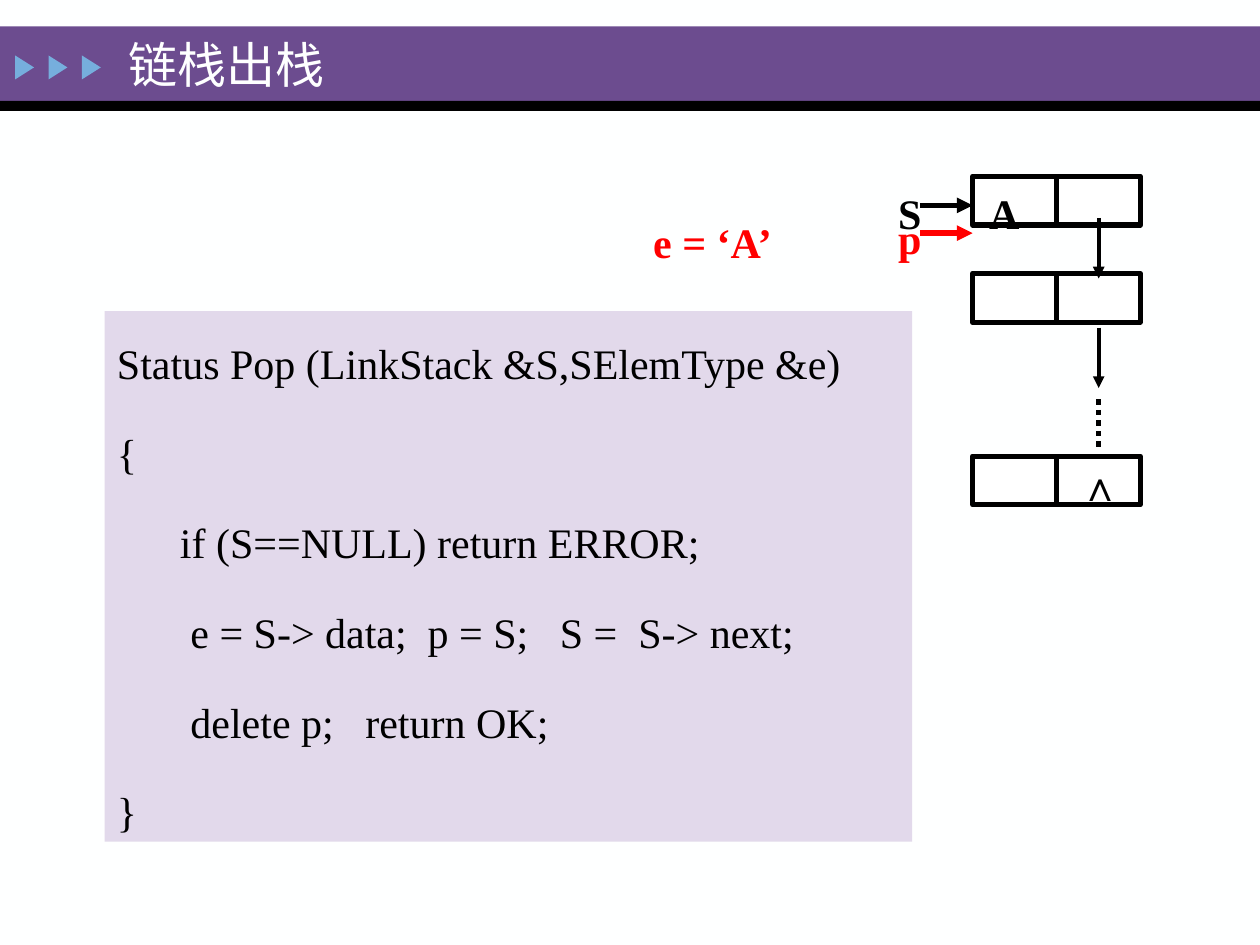
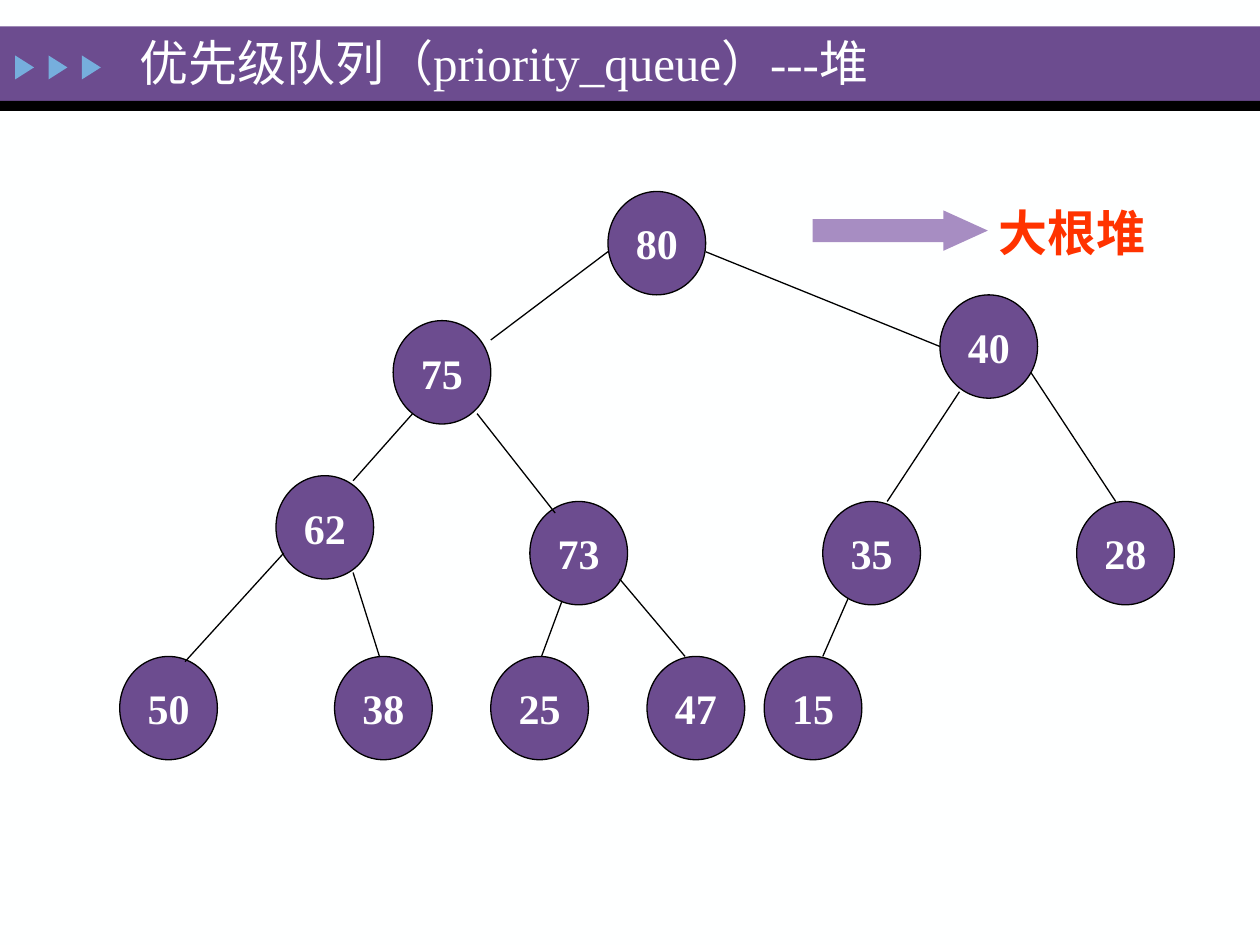
from dataclasses import dataclass
from typing import NamedTuple, Optional

from pptx import Presentation
from pptx.dml.color import RGBColor
from pptx.enum.dml import MSO_LINE
from pptx.enum.shapes import MSO_CONNECTOR, MSO_SHAPE
from pptx.enum.text import MSO_ANCHOR, PP_ALIGN
from pptx.oxml.ns import qn
from pptx.oxml.xmlchemy import OxmlElement
from pptx.util import Inches, Pt

RECT, OVAL = MSO_SHAPE.RECTANGLE, MSO_SHAPE.OVAL
TRIANGLE, RIGHT_ARROW = MSO_SHAPE.ISOSCELES_TRIANGLE, MSO_SHAPE.RIGHT_ARROW
STRAIGHT, DOTTED = MSO_CONNECTOR.STRAIGHT, MSO_LINE.ROUND_DOT
LEFT, CENTER = PP_ALIGN.LEFT, PP_ALIGN.CENTER
TOP, MIDDLE = MSO_ANCHOR.TOP, MSO_ANCHOR.MIDDLE


@dataclass(frozen=True)
class Theme:
    font: str = "Times New Roman"
    paper: str = "FEFFFF"
    white: str = "FFFFFF"
    ink: str = "000000"
    purple: str = "6C4C8F"
    lilac: str = "A78DC2"
    code_fill: str = "E2D9EB"
    blue: str = "76AEDD"
    red: str = "FF0000"
    orange: str = "FF3300"
    title_size: float = 28
    body_size: float = 24
    thin: float = 0.75
    medium: float = 2.25
    thick: float = 3


@dataclass(frozen=True)
class Grid:
    """Columns and rows, in inches, counted from a corner."""
    left: float
    top: float
    col: float
    row: float

    def point(self, x: float, y: float) -> tuple:
        return Inches(self.left + x * self.col), Inches(self.top + y * self.row)

    def box(self, x: float, y: float, w: float, h: float) -> tuple:
        return (*self.point(x, y), Inches(w * self.col), Inches(h * self.row))


class TreeNode(NamedTuple):
    key: str
    col: float
    row: float


class Link(NamedTuple):
    x1: float
    y1: float
    x2: float
    y2: float
    color: str
    width: float
    arrow: bool = True
    dash: Optional[MSO_LINE] = None


class Label(NamedTuple):
    text: str
    x: float
    y: float
    w: float
    color: str


THEME = Theme()
SLIDE_W, SLIDE_H = 10, 7.5
PAGE = Grid(0, 0, SLIDE_W / 100, SLIDE_H / 75)
TREE = Grid(0.95, 1.52, 0.155, 0.205)
TEXT_DROP = Inches(0.09)

# Linked stack: list cells, pointers and labels on the page grid
CELL_LEFT, CELL_W, CELL_H = 77.2, 13.3, 3.87
CELL_MID = CELL_LEFT + CELL_W / 2
CELL_ROWS = (14, 21.7, 36.2)
NEXT_X, POINTER_X = 87.2, 73

POINTERS = (
    Link(NEXT_X, 17.3, NEXT_X, 22.1, THEME.ink, THEME.medium),
    Link(NEXT_X, 26, NEXT_X, 30.8, THEME.ink, THEME.medium),
    Link(NEXT_X, 31.7, NEXT_X, 35.6, THEME.ink, THEME.thick, False, DOTTED),
    Link(POINTER_X, 16.3, CELL_LEFT, 16.3, THEME.ink, THEME.thick),
    Link(POINTER_X, 18.5, CELL_LEFT, 18.5, THEME.red, THEME.thick),
)

STACK_LABELS = (
    Label("∧", 84.7, 35.6, 5, THEME.ink),
    Label("S", 69.7, 14, 5, THEME.ink),
    Label("A", CELL_LEFT, 14, 5, THEME.ink),
    Label("e = ‘A’", 47.8, 16.3, 17.5, THEME.red),
    Label("p", 69.7, 16, 5, THEME.red),
)

# Code lines with their indent level
POP_CODE = (
    ("Status Pop (LinkStack &S,SElemType &e)", 0),
    ("{", 0),
    ("if (S==NULL) return ERROR;", 1),
    (" e = S-> data;  p = S;   S =  S-> next;", 1),
    (" delete p;   return OK;", 1),
    ("}", 0),
)

# Heap: nodes and edges on the tree grid
NODE_COLS, NODE_ROWS = 5, 4
HEAP = (
    TreeNode("80", 25, 0),
    TreeNode("75", 14, 5), TreeNode("40", 42, 4),
    TreeNode("62", 8, 11), TreeNode("73", 21, 12),
    TreeNode("28", 49, 12), TreeNode("35", 36, 12),
    TreeNode("50", 0, 18), TreeNode("38", 11, 18), TreeNode("25", 19, 18),
    TreeNode("47", 27, 18), TreeNode("15", 33, 18),
)
HEAP_EDGES = (
    (25, 2.33, 19, 5.75), (30, 2.33, 42, 6),
    (15, 8.6, 11.95, 11.2), (18.3, 8.6, 22.3, 12.45),
    (43, 7.75, 39.3, 12), (46.65, 7, 51, 12),
    (8.4, 14, 3.35, 18.2), (11.95, 14.75, 13.3, 18),
    (22.65, 15.85, 21.6, 18), (25.6, 15, 28.95, 18),
    (37.3, 15.75, 36, 18),
)


def rgb(color: str) -> RGBColor:
    return RGBColor.from_string(color)


def write(tf, text: str, *, size: float = THEME.body_size, color: str = THEME.ink,
          bold: bool = False, align: PP_ALIGN = LEFT, anchor: MSO_ANCHOR = TOP,
          wrap: bool = True, level: int = 0, line_spacing: Optional[float] = None,
          before: float = 0, first: bool = True) -> None:
    """Write one paragraph; later ones of the same frame pass first=False."""
    tf.word_wrap, tf.vertical_anchor = wrap, anchor
    p = tf.paragraphs[0] if first else tf.add_paragraph()
    p.alignment = align
    if level:
        p.level = level
        p._p.get_or_add_pPr().set("marL", str(Inches(0.5 * level)))
    if line_spacing:
        p.line_spacing = line_spacing
    if not first:
        p.space_before = Pt(before)
    r = p.add_run()
    r.text = text
    r.font.name, r.font.size, r.font.bold = THEME.font, Pt(size), bold
    r.font.color.rgb = rgb(color)


def add_label(s, box: tuple, text: str, drop: bool = True, **fmt) -> None:
    tf = s.shapes.add_textbox(*box).text_frame
    if drop:
        tf.margin_top = TEXT_DROP
    write(tf, text, **fmt)


def add_block(s, kind: MSO_SHAPE, box: tuple, fill: str, line_width: float = 0):
    sp = s.shapes.add_shape(kind, *box)
    sp.shadow.inherit = False
    sp.fill.solid()
    sp.fill.fore_color.rgb = rgb(fill)
    if line_width:
        sp.line.color.rgb = rgb(THEME.ink)
        sp.line.width = Pt(line_width)
    else:
        sp.line.fill.background()
    return sp


def add_link(s, grid: Grid, link: Link) -> None:
    sp = s.shapes.add_connector(STRAIGHT, *grid.point(link.x1, link.y1),
                                *grid.point(link.x2, link.y2))
    sp.line.color.rgb = rgb(link.color)
    sp.line.width = Pt(link.width)
    if link.dash is not None:
        sp.line.dash_style = link.dash
    spPr = sp._element.spPr
    if link.arrow:
        tail = OxmlElement("a:tailEnd")
        tail.set("type", "triangle")
        spPr.find(qn("a:ln")).append(tail)
    spPr.append(OxmlElement("a:effectLst"))


def add_base_slide(prs, title: str, title_box: tuple):
    """Blank slide with the title band, its markers and the title."""
    s = prs.slides.add_slide(prs.slide_layouts[6])
    s.background.fill.solid()
    s.background.fill.fore_color.rgb = rgb(THEME.paper)
    add_block(s, RECT, PAGE.box(0, 2.1, 100, 5.9), THEME.purple)
    add_block(s, RECT, PAGE.box(0, 8, 100, 0.8), THEME.ink)
    for i in range(3):
        marker = add_block(s, TRIANGLE, PAGE.box(1 + 2.65 * i, 4.6, 1.9, 1.5), THEME.blue)
        marker.rotation = 90
    add_label(s, title_box, title, drop=False, size=THEME.title_size,
              color=THEME.paper, anchor=MIDDLE)
    return s


def build_stack_slide(prs) -> None:
    s = add_base_slide(prs, "链栈出栈", PAGE.box(9.2, 2.6, 70, 5))
    # Linked list
    for row in CELL_ROWS:
        add_block(s, RECT, PAGE.box(CELL_LEFT, row, CELL_W, CELL_H), THEME.white, THEME.thick)
        add_link(s, PAGE, Link(CELL_MID, row, CELL_MID, row + CELL_H,
                               THEME.ink, THEME.thick, False))
    for pointer in POINTERS:
        add_link(s, PAGE, pointer)
    for label in STACK_LABELS:
        add_label(s, PAGE.box(label.x, label.y, label.w, 5), label.text,
                  color=label.color, bold=True, align=CENTER)
    # Code panel
    tf = add_block(s, RECT, PAGE.box(8.3, 24.7, 64.1, 42.1), THEME.code_fill).text_frame
    tf.margin_top = TEXT_DROP
    for i, (code, level) in enumerate(POP_CODE):
        write(tf, code, level=level, line_spacing=1.3, before=13.8, first=i == 0)


def build_heap_slide(prs) -> None:
    s = add_base_slide(prs, "优先级队列（priority_queue）---堆", PAGE.box(10.1, 2.1, 83.3, 5.7))
    # Tree
    for node in HEAP:
        sp = add_block(s, OVAL, TREE.box(node.col, node.row, NODE_COLS, NODE_ROWS),
                       THEME.purple, THEME.thin)
        write(sp.text_frame, node.key, color=THEME.paper, bold=True, align=CENTER,
              anchor=MIDDLE, wrap=False)
    for edge in HEAP_EDGES:
        add_link(s, TREE, Link(*edge, THEME.ink, THEME.thin, False))
    # Name of the heap
    arrow = add_block(s, RIGHT_ARROW, PAGE.box(64.5, 16.7, 13.9, 3.2), THEME.lilac)
    arrow.adjustments[0], arrow.adjustments[1] = 0.57, 1.1
    add_label(s, PAGE.box(78.3, 15.2, 13.7, 5.7), "大根堆", size=THEME.title_size,
              color=THEME.orange, bold=True, wrap=False)


def main() -> None:
    prs = Presentation()
    prs.slide_width, prs.slide_height = Inches(SLIDE_W), Inches(SLIDE_H)
    build_stack_slide(prs)
    build_heap_slide(prs)
    prs.save("out.pptx")


if __name__ == "__main__":
    main()
